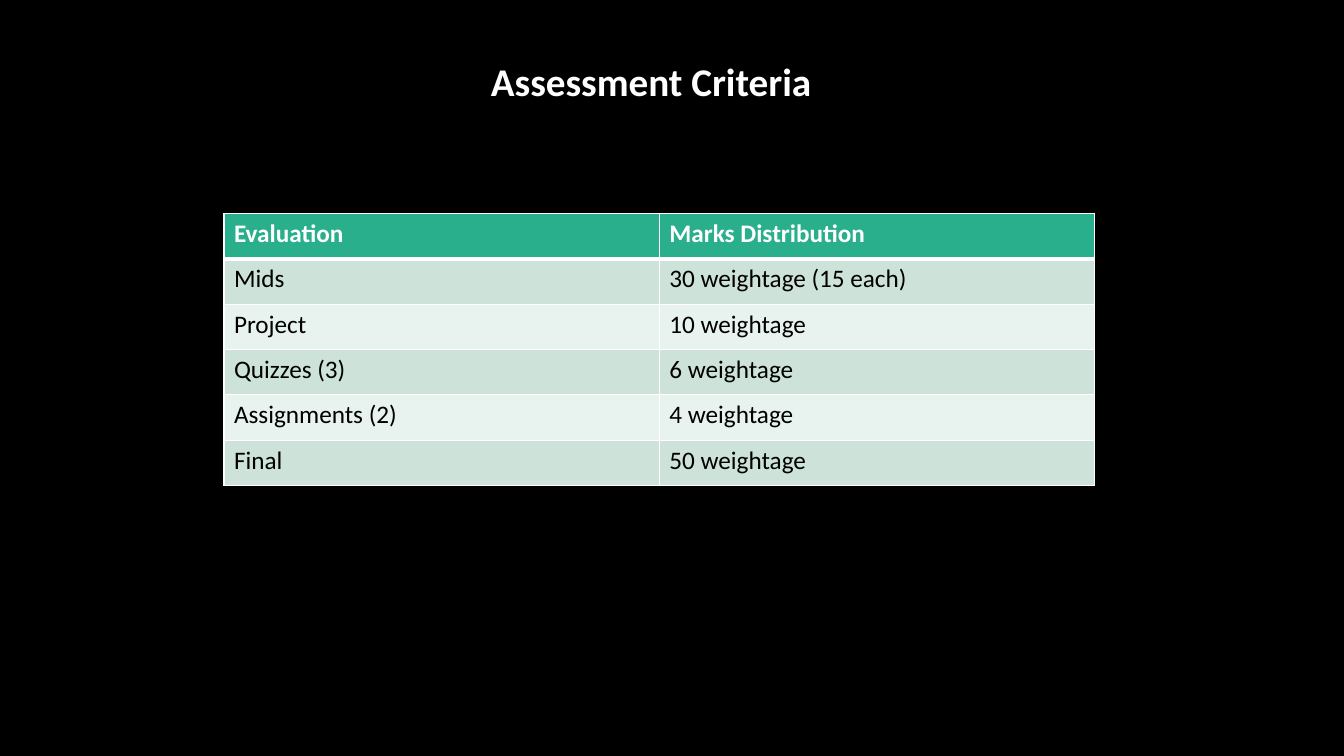
from dataclasses import dataclass

from lxml import etree
from pptx import Presentation
from pptx.dml.color import RGBColor
from pptx.enum.text import MSO_ANCHOR, MSO_AUTO_SIZE, PP_ALIGN
from pptx.oxml.ns import qn
from pptx.util import Pt

LEFT = PP_ALIGN.LEFT
TOP = MSO_ANCHOR.TOP
NO_AUTOFIT = MSO_AUTO_SIZE.NONE
TITLE_ONLY = 5


@dataclass(frozen=True)
class Theme:
    font: str = "Calibri"
    background: str = "000000"
    light: str = "FFFFFF"
    dark: str = "000000"
    header: str = "29AF8C"
    bands: tuple = ("CDE3DA", "E8F2EE")
    title_size: int = 28
    table_size: int = 18
    border: int = 1
    header_border: int = 3


theme = Theme()


def add_text(para, text, size, color, bold):
    para.alignment = LEFT
    span = para.add_run()
    span.text = text
    span.font.name = theme.font
    span.font.size = Pt(size)
    span.font.bold = bold
    span.font.color.rgb = RGBColor.from_string(color)


def set_borders(cell, widths):
    properties = cell._tc.get_or_add_tcPr()
    for position, (side, width) in enumerate(widths.items()):
        line = etree.Element(qn(f"a:ln{side}"), w=str(Pt(width)))
        fill = etree.SubElement(line, qn("a:solidFill"))
        etree.SubElement(fill, qn("a:srgbClr"), val=theme.light)
        properties.insert(position, line)


# Deck and page
deck = Presentation()
deck.slide_width, deck.slide_height = Pt(960), Pt(540)
page = deck.slides.add_slide(deck.slide_layouts[TITLE_ONLY])
page.background.fill.solid()
page.background.fill.fore_color.rgb = RGBColor.from_string(theme.background)

# Title
title = page.shapes.title
title.left, title.top, title.width, title.height = Pt(343.5), Pt(37.5), Pt(377), Pt(41)
frame = title.text_frame
frame.word_wrap = True
frame.auto_size = NO_AUTOFIT
frame.vertical_anchor = TOP
add_text(frame.paragraphs[0], "Assessment Criteria", theme.title_size, theme.light, True)

# Assessment table
criteria = [
    ("Evaluation", "Marks Distribution"),
    ("Mids", "30 weightage (15 each)"),
    ("Project", "10 weightage"),
    ("Quizzes (3)", "6 weightage"),
    ("Assignments (2)", "4 weightage"),
    ("Final", "50 weightage"),
]
row_height, column_width = 32.4, 311
table = page.shapes.add_table(
    len(criteria), 2, Pt(160), Pt(152.5),
    Pt(2 * column_width), Pt(len(criteria) * row_height),
).table

for row_index, row in enumerate(criteria):
    is_header = row_index == 0
    fill_color = theme.header if is_header else theme.bands[(row_index - 1) % 2]
    text_color = theme.light if is_header else theme.dark
    widths = {
        "L": theme.border,
        "R": theme.border,
        "T": theme.header_border if row_index == 1 else theme.border,
        "B": theme.header_border if is_header else theme.border,
    }
    for column_index, text in enumerate(row):
        cell = table.cell(row_index, column_index)
        cell.fill.solid()
        cell.fill.fore_color.rgb = RGBColor.from_string(fill_color)
        set_borders(cell, widths)
        add_text(cell.text_frame.paragraphs[0], text, theme.table_size, text_color, is_header)

deck.save("out.pptx")
